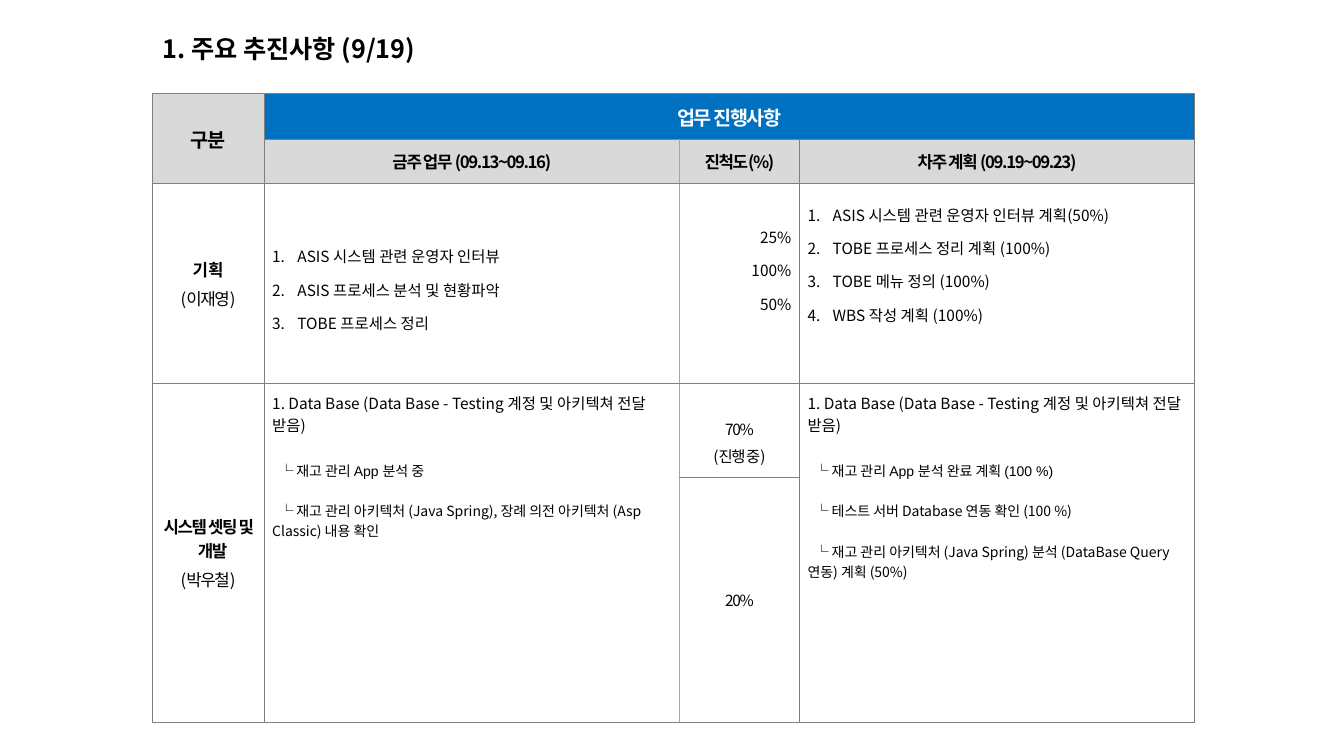
from pptx import Presentation
from pptx.dml.color import RGBColor
from pptx.enum.text import MSO_ANCHOR, PP_ALIGN
from pptx.oxml.ns import qn
from pptx.util import Inches, Pt
from lxml import etree

LEFT, CENTER, RIGHT = PP_ALIGN.LEFT, PP_ALIGN.CENTER, PP_ALIGN.RIGHT
TOP, MIDDLE = MSO_ANCHOR.TOP, MSO_ANCHOR.MIDDLE
FONT, LATIN_FONT = "Noto Sans CJK KR", "Arial"
BLACK, WHITE, BLUE, GRAY = "000000", "FFFFFF", "0070C0", "D9D9D9"
BORDER, SOFT_BORDER = ("808080", 0.75), ("A6A6A6", 1)
MARGIN = 0.08

# Content
TITLE = "1. 주요 추진사항 (9/19)"
COLUMNS = [1.11, 4.12, 1.19, 3.92]
ROWS = [0.45, 0.44, 1.98, 0.93, 2.43]
# (row, column, text, size, fill, colour)
HEADERS = [
    (0, 0, "구분", 14, GRAY, BLACK),
    (0, 1, "업무 진행사항", 14, BLUE, WHITE),
    (1, 1, "금주 업무 (09.13~09.16)", 12, GRAY, BLACK),
    (1, 2, "진척도(%)", 12, GRAY, BLACK),
    (1, 3, "차주 계획 (09.19~09.23)", 12, GRAY, BLACK),
]
# (row, team, owner, letter spacing of the team)
TEAMS = [(2, "기획", "(이재영)", 0), (3, "시스템 셋팅 및 개발", "(박우철)", -1)]
# (column, anchor, numbered items)
PLANNING = [
    (1, MIDDLE, ["ASIS 시스템 관련 운영자 인터뷰",
                 "ASIS 프로세스 분석 및 현황파악",
                 "TOBE 프로세스 정리"]),
    (3, TOP, ["ASIS 시스템 관련 운영자 인터뷰 계획(50%)",
              "TOBE 프로세스 정리 계획 (100%)",
              "TOBE 메뉴 정의 (100%)",
              "WBS 작성 계획 (100%)"]),
]
PLANNING_RATES = ["25%", "100%", "50%"]
DATABASE = "1. Data Base (Data Base - Testing 계정 및 아키텍쳐 전달 받음)"
# (column, steps below the database line)
SETUP = [
    (1, ["└ 재고 관리 App 분석 중",
         "└ 재고 관리 아키텍처 (Java Spring), 장례 의전 아키텍처 (Asp Classic) 내용 확인"]),
    (3, ["└ 재고 관리 App 분석 완료 계획 (100 %)",
         "└ 테스트 서버 Database 연동 확인 (100 %)",
         "└ 재고 관리 아키텍처 (Java Spring) 분석 (DataBase Query 연동) 계획 (50%)"]),
]
# (row, anchor, top margin, lines)
SETUP_RATES = [(3, TOP, 0.34, ["70%", "(진행 중)"]), (4, MIDDLE, MARGIN, ["20%"])]
MERGES = [((0, 0), (1, 0)), ((0, 1), (0, 3)),
          ((3, 0), (4, 0)), ((3, 1), (4, 1)), ((3, 3), (4, 3))]


def rgb(value):
    return RGBColor.from_string(value)


def add_paragraph(frame, text, size, align=LEFT, bold=False, color=BLACK, spacing=0,
                  before=0, line=None, left=0, indent=0, numbered=False, latin=FONT):
    first = not frame.paragraphs[0].runs
    para = frame.paragraphs[0] if first else frame.add_paragraph()
    props = para._p.get_or_add_pPr()
    props.set("marL", str(Inches(left)))
    props.set("indent", str(Inches(indent)))
    if numbered:
        etree.SubElement(props, qn("a:buFont"), typeface="+mj-lt")
        etree.SubElement(props, qn("a:buAutoNum"), type="arabicPeriod")
    para.alignment = align
    if before and not first:
        para.space_before = Pt(before)
    if line:
        para.line_spacing = line
    span = para.add_run()
    span.text = text
    span.font.size, span.font.bold, span.font.name = Pt(size), bold, latin
    span.font.color.rgb = rgb(color)
    run_props = span.font._element
    run_props.set("spc", str(spacing * 100))
    etree.SubElement(run_props, qn("a:ea"), typeface=FONT)


def format_cell(cell, row, column):
    cell.margin_left = cell.margin_right = Inches(MARGIN)
    cell.margin_top = cell.margin_bottom = Inches(MARGIN)
    cell.vertical_anchor = MIDDLE
    props = cell._tc.get_or_add_tcPr()
    soft_side = {1: "R", 2: "L"}.get(column) if row else None
    for side in "LRTB":
        color, width = SOFT_BORDER if side == soft_side else BORDER
        border = etree.SubElement(props, qn(f"a:ln{side}"), w=str(Pt(width)))
        fill = etree.SubElement(border, qn("a:solidFill"))
        etree.SubElement(fill, qn("a:srgbClr"), val=color)
    cell.fill.background()


deck = Presentation()
deck.slide_width, deck.slide_height = Inches(13.33), Inches(7.5)
page = deck.slides.add_slide(deck.slide_layouts[5])

# Title
title = page.shapes.title
title.left, title.top = Inches(1.51), Inches(0.25)
title.width, title.height = Inches(10.25), Inches(0.46)
title.text_frame.vertical_anchor = MIDDLE
add_paragraph(title.text_frame, TITLE, 18, bold=True)

# Table grid
table = page.shapes.add_table(len(ROWS), len(COLUMNS), Inches(1.51), Inches(0.93),
                              Inches(sum(COLUMNS)), Inches(sum(ROWS))).table
table.first_row = table.horz_banding = False
for index, width in enumerate(COLUMNS):
    table.columns[index].width = Inches(width)
for index, height in enumerate(ROWS):
    table.rows[index].height = Inches(height)
    for column in range(len(COLUMNS)):
        format_cell(table.cell(index, column), index, column)
for start, end in MERGES:
    table.cell(*start).merge(table.cell(*end))

# Header cells
for row, column, text, size, fill, color in HEADERS:
    cell = table.cell(row, column)
    cell.fill.solid()
    cell.fill.fore_color.rgb = rgb(fill)
    add_paragraph(cell.text_frame, text, size, CENTER, True, color, spacing=-1)

# Team names
for row, team, owner, spacing in TEAMS:
    frame = table.cell(row, 0).text_frame
    add_paragraph(frame, team, 12, CENTER, True, spacing=spacing, left=0.09, indent=-0.09)
    add_paragraph(frame, owner, 12, CENTER, spacing=-1, before=3, left=0.09, indent=-0.09)

# Planning row
for column, anchor, items in PLANNING:
    cell = table.cell(2, column)
    cell.vertical_anchor = anchor
    for item in items:
        add_paragraph(cell.text_frame, item, 11, line=1.5, left=0.25, indent=-0.25,
                      numbered=True)
cell = table.cell(2, 2)
cell.vertical_anchor, cell.margin_top = TOP, Inches(0.3)
for rate in PLANNING_RATES:
    add_paragraph(cell.text_frame, rate, 11, RIGHT, line=1.5)

# Setup and development rows
for column, steps in SETUP:
    cell = table.cell(3, column)
    cell.vertical_anchor = TOP
    add_paragraph(cell.text_frame, DATABASE, 11)
    for index, step in enumerate(steps):
        add_paragraph(cell.text_frame, step, 10, before=14.5 if index else 17,
                      indent=0.07, latin=FONT if index else LATIN_FONT)
for row, anchor, margin, lines in SETUP_RATES:
    cell = table.cell(row, 2)
    cell.vertical_anchor, cell.margin_top = anchor, Inches(margin)
    for text in lines:
        add_paragraph(cell.text_frame, text, 11, CENTER, spacing=-1, before=3)

deck.save("out.pptx")
